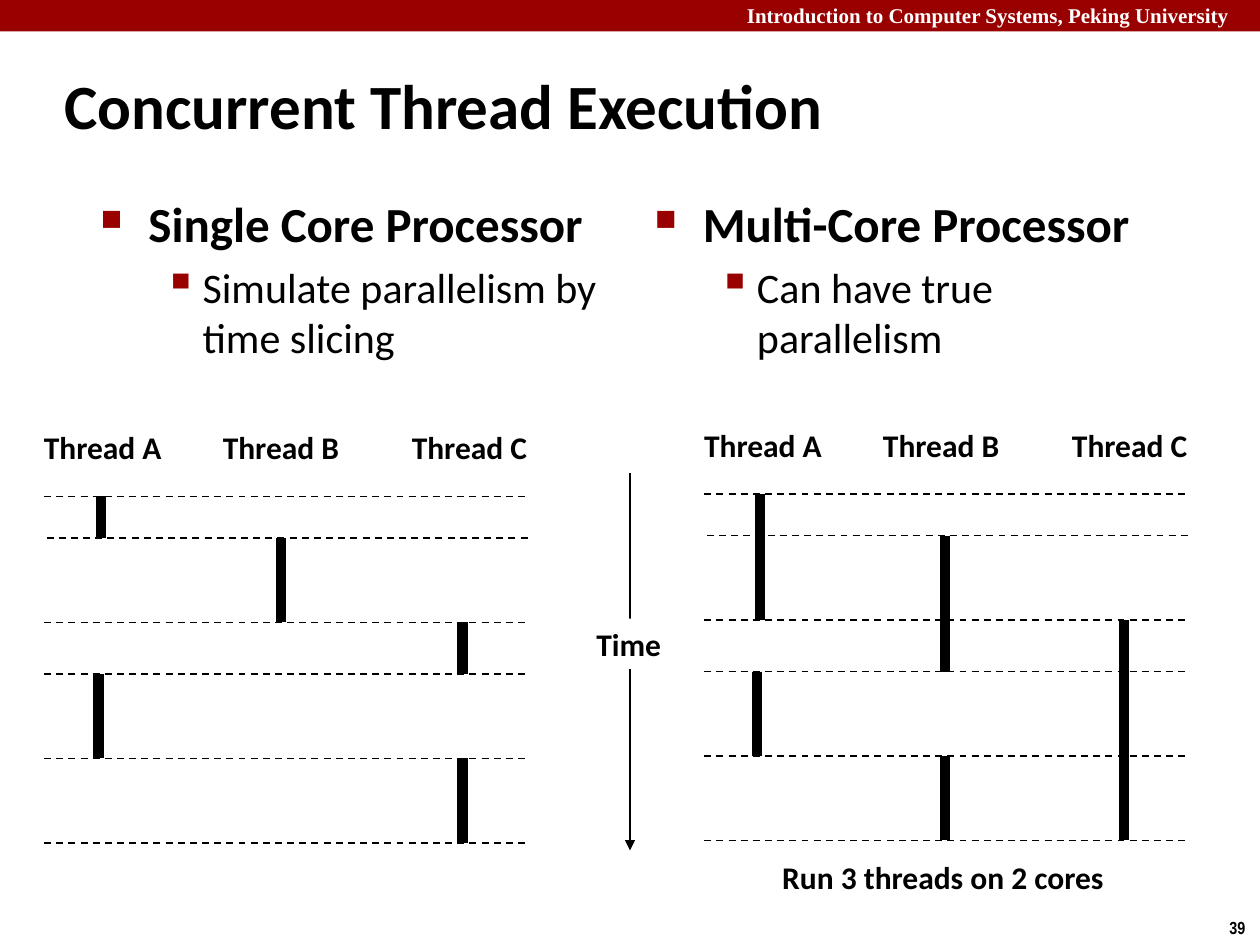
from dataclasses import dataclass

from lxml import etree
from pptx import Presentation
from pptx.dml.color import RGBColor
from pptx.enum import dml, shapes, text
from pptx.oxml import ns
from pptx.util import Inches, Pt


@dataclass(frozen=True)
class Theme:
    red: str = "990000"
    black: str = "000000"
    white: str = "FFFFFF"
    sans: str = "Calibri"
    serif: str = "Times New Roman"
    narrow: str = "Arial Narrow"
    title: int = 36
    head: int = 28
    body: int = 24
    label: int = 18
    top: int = 12
    page: int = 10
    thin: int = 1
    thick: int = 6


T = Theme()
W, H = 10, 7.5
# Moments shared by both timelines, in inches below the first one
TICKS = (0, 0.33, 1, 1.41, 2.08, 2.75)
SPAN = 3.82
NAMES = ((-0.1, 1.16), (1.32, 1.14), (2.82, 1.13))
BULLETS = (
    dict(char="■", size=60, left=0.38, hang=0.38),
    dict(char="▪", size=110, left=0.81, hang=0.31),
)


def style(font, **over):
    look = dict(name=T.sans, size=Pt(T.label), bold=True) | over
    tint = look.pop("tint", T.black)
    for key, value in look.items():
        setattr(font, key, value)
    font.color.rgb = RGBColor.from_string(tint)


def paint(shape, tint):
    shape.fill.solid()
    shape.fill.fore_color.rgb = RGBColor.from_string(tint)


def add_text(slide, box, words, wrap=False, **look):
    shape = slide.shapes.add_textbox(*map(Inches, box))
    frame = shape.text_frame
    frame.word_wrap = wrap
    para = frame.paragraphs[0]
    para.text = words
    style(para.font, **look)
    return shape


def add_line(slide, start, end, width, dash=False, arrow=False):
    line = slide.shapes.add_connector(
        shapes.MSO_CONNECTOR.STRAIGHT, *map(Inches, (*start, *end)))
    line.line.width = Pt(width)
    line.line.color.rgb = RGBColor.from_string(T.black)
    if dash:
        line.line.dash_style = dml.MSO_LINE.DASH
    if arrow:
        tail = etree.SubElement(line.line._get_or_add_ln(), ns.qn("a:tailEnd"))
        tail.set("type", "triangle")
    etree.SubElement(line._element.spPr, ns.qn("a:effectLst"))


def add_bullet(para, char, size, left, hang):
    props = para._p.get_or_add_pPr()
    props.set("marL", str(Inches(left)))
    props.set("indent", str(-Inches(hang)))
    tint = etree.SubElement(props, ns.qn("a:buClr"))
    etree.SubElement(tint, ns.qn("a:srgbClr")).set("val", T.red)
    etree.SubElement(props, ns.qn("a:buSzPct")).set("val", str(size * 1000))
    etree.SubElement(props, ns.qn("a:buChar")).set("char", char)


def banner(slide, box):
    x, y, w, h = box
    bar = slide.shapes.add_shape(
        shapes.MSO_SHAPE.RECTANGLE, *map(Inches, box))
    bar.shadow.inherit = False
    paint(bar, T.red)
    bar.line.fill.background()
    add_text(slide, (x + 5.83, y - 0.03, w - 5.76, h + 0.05),
             "Introduction to Computer Systems, Peking University",
             True, name=T.serif, size=Pt(T.top), tint=T.white)


def title(slide, box, words):
    shape = slide.shapes.title
    for key, value in zip(("left", "top", "width", "height"), box):
        setattr(shape, key, Inches(value))
    frame = shape.text_frame
    frame.text = words
    frame.vertical_anchor = text.MSO_ANCHOR.MIDDLE
    para = frame.paragraphs[0]
    para.alignment = text.PP_ALIGN.LEFT
    style(para.font, size=Pt(T.title))


def points(slide, box, head, detail):
    frame = add_text(slide, box, head, True).text_frame
    second = frame.add_paragraph()
    second.text = detail
    second.space_before = Pt(T.body * 0.2)
    looks = (dict(size=Pt(T.head)), dict(size=Pt(T.body), bold=False))
    for para, mark, look in zip(frame.paragraphs, BULLETS, looks):
        add_bullet(para, **mark)
        style(para.font, **look)
    second.level = 1


def timeline(slide, x, y, lanes, runs):
    """Draw runs of (lane, first tick, last tick) below the thread names."""
    for letter, (shift, width) in zip("ABC", NAMES):
        add_text(slide, (x + shift, y - 0.59, width, 0.4), f"Thread {letter}")
    for lane, first, last in runs:
        # A thread that resumes at tick 3 sits slightly to the left
        at = x + lanes[lane] - (0.02 if first == 3 else 0)
        add_line(slide, (at, y + TICKS[first]), (at, y + TICKS[last]), T.thick)
    for row, tick in enumerate(TICKS):
        left = x + (0.02 if row == 1 else 0)
        add_line(slide, (left, y + tick), (left + SPAN, y + tick),
                 T.thin, dash=True)


def clock(slide, x, y, h):
    add_line(slide, (x, y), (x, y + h), T.thin, arrow=True)
    tag = add_text(slide, (x - 0.37, y + 1.16, 0.72, 0.4), "Time")
    paint(tag, T.white)
    tag.text_frame.paragraphs[0].alignment = text.PP_ALIGN.CENTER


def main():
    deck = Presentation()
    deck.slide_width, deck.slide_height = Inches(W), Inches(H)
    slide = deck.slides.add_slide(deck.slide_layouts[5])

    banner(slide, (0, 0, W, H / 30))
    add_text(slide, (W - 0.34, H - 0.27, 0.34, 0.27), "39",
             name=T.narrow, size=Pt(T.page))
    title(slide, (0.41, 0.41, 8.3, 0.83), "Concurrent Thread Execution")
    points(slide, (0.7, 1.49, 4.23, 1.6), "Single Core Processor",
           "Simulate parallelism by time slicing")
    points(slide, (5.1, 1.49, 4.23, 1.6), "Multi-Core Processor",
           "Can have true parallelism")

    clock(slide, W / 2, H / 2, 3)
    timeline(slide, 0.35, 3.94, (0.45, 1.88, 3.32),
             ((0, 0, 1), (1, 1, 2), (2, 2, 3), (0, 3, 4), (2, 4, 5)))
    timeline(slide, 5.59, 3.92, (0.44, 1.91, 3.33),
             ((0, 0, 2), (1, 1, 3), (2, 2, 5), (0, 3, 4), (1, 4, 5)))
    add_text(slide, (6.11, 6.76, 2.78, 0.4), "Run 3 threads on 2 cores")
    deck.save("out.pptx")


if __name__ == "__main__":
    main()
